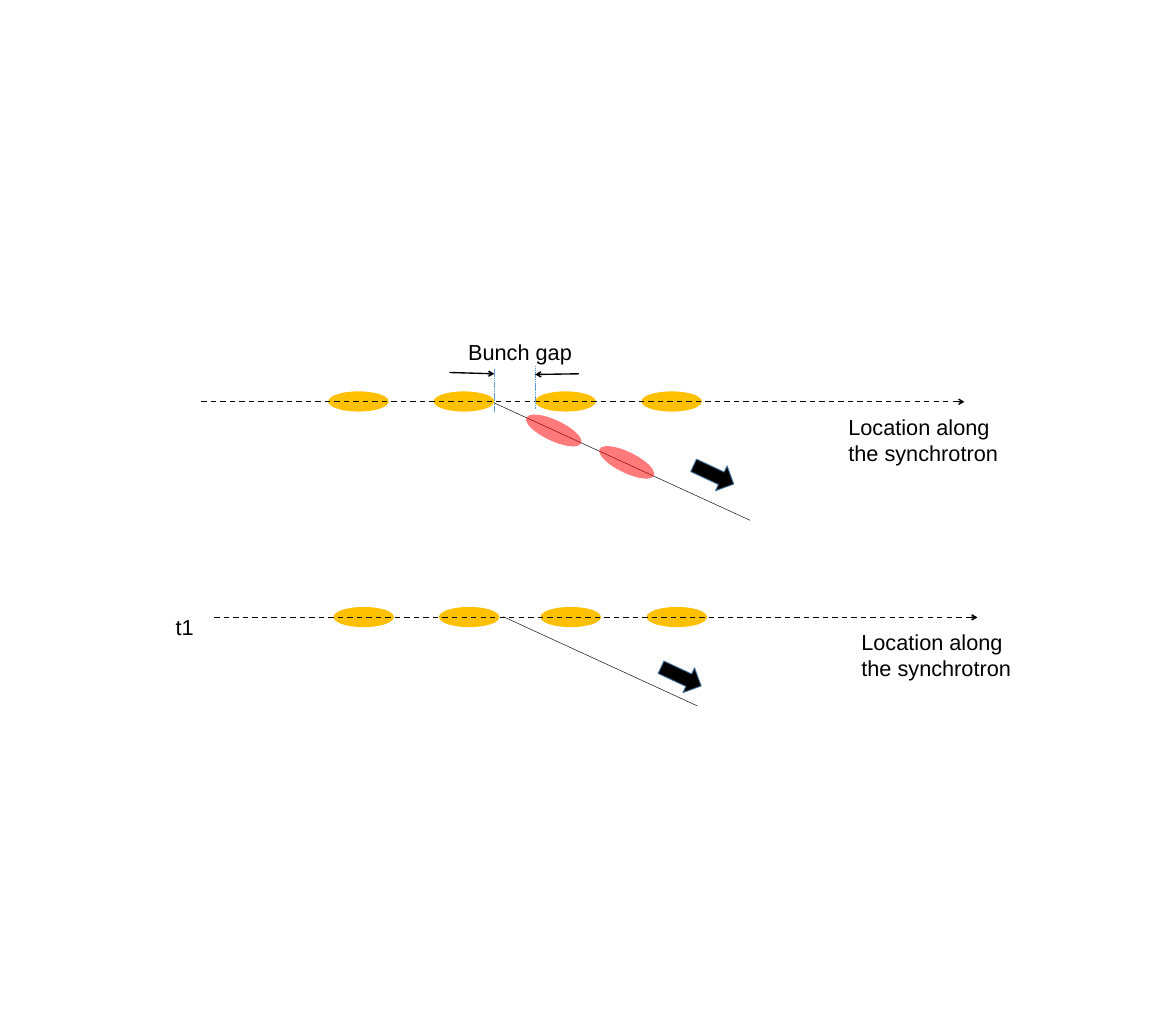
import pptx
import pptx.dml.color
import pptx.enum.dml
import pptx.enum.shapes
import pptx.oxml.ns
import pptx.util
from lxml import etree
from pptx.util import Inches

RGBColor = pptx.dml.color.RGBColor
Shape = pptx.enum.shapes.MSO_SHAPE
Dash = pptx.enum.dml.MSO_LINE
qn = pptx.oxml.ns.qn

BLACK = RGBColor(0x00, 0x00, 0x00)
GOLD = RGBColor(0xFF, 0xC0, 0x00)
RED = RGBColor(0xFF, 0x00, 0x00)
BLUE = RGBColor(0x5B, 0x9B, 0xD5)
ARROW_EDGE = RGBColor(0x43, 0x73, 0x9E)

BUNCH_OFFSETS = (0, 1.62, 3.18, 4.81)
AXIS_LENGTH = 11.72


def add_label(slide, text, left, top, width, height):
    box = slide.shapes.add_textbox(Inches(left), Inches(top), Inches(width), Inches(height))
    box.text_frame.word_wrap = True
    paragraph = box.text_frame.paragraphs[0]
    paragraph.text = text
    font_format = {"name": "Arial", "size": pptx.util.Pt(24)}
    for name, value in font_format.items():
        setattr(paragraph.font, name, value)
    paragraph.font.color.rgb = BLACK


def add_line(slide, start, end, color=BLACK, width=0.5, dash=None, arrow=False):
    connector = slide.shapes.add_connector(
        pptx.enum.shapes.MSO_CONNECTOR.STRAIGHT, *map(Inches, start + end))
    line = connector.line
    line.color.rgb = color
    line.width = pptx.util.Pt(width)
    if dash is not None:
        line.dash_style = dash
    if arrow:
        etree.SubElement(line._get_or_add_ln(), qn("a:tailEnd"), type="arrow")
    etree.SubElement(connector._element.spPr, qn("a:effectLst"))


def add_filled_shape(slide, kind, left, top, width, height, color, rotation=0):
    shape = slide.shapes.add_shape(kind, *map(Inches, (left, top, width, height)))
    shape.shadow.inherit = False
    shape.rotation = rotation
    shape.fill.solid()
    shape.fill.fore_color.rgb = color
    shape.line.fill.background()
    return shape


def add_extracted_bunch(slide, left, top, rotation):
    bunch = add_filled_shape(slide, Shape.OVAL, left, top, 0.93, 0.32, RED, rotation)
    color = bunch._element.spPr.find(qn("a:solidFill"))[0]
    etree.SubElement(color, qn("a:alpha"), val="52000")


def add_direction_arrow(slide, left, top):
    arrow = add_filled_shape(slide, Shape.RIGHT_ARROW, left, top, 0.68, 0.42, BLACK, 25)
    arrow.line.color.rgb = ARROW_EDGE
    arrow.line.width = pptx.util.Pt(1)


def add_synchrotron_axis(slide, left, axis_y, first_bunch):
    """Draw the circulating bunches, the dashed axis through them and its label."""
    for offset in BUNCH_OFFSETS:
        add_filled_shape(slide, Shape.OVAL, first_bunch + offset, axis_y - 0.16, 0.93, 0.31, GOLD)
    add_line(slide, (left, axis_y), (left + AXIS_LENGTH, axis_y),
             width=1.5, dash=Dash.DASH, arrow=True)
    add_label(slide, "Location along the synchrotron", left + 9.84, axis_y + 0.13, 2.53, 0.9)


def add_bunch_gap(slide):
    add_label(slide, "Bunch gap", 7.09, 5.16, 1.9, 0.5)
    for x, top in ((8.22, 5.62), (7.59, 5.66)):
        add_line(slide, (x, top), (x, top + 0.66), color=BLUE, dash=Dash.SQUARE_DOT)
    for start, end in (((6.9, 5.72), (7.59, 5.74)), ((8.89, 5.74), (8.22, 5.75))):
        add_line(slide, start, end, width=1.5, arrow=True)


def main():
    presentation = pptx.Presentation()
    presentation.slide_width = Inches(18.06)
    presentation.slide_height = Inches(15.77)
    slide = presentation.slides.add_slide(presentation.slide_layouts[6])

    add_line(slide, (7.53, 6.16), (11.52, 7.99))
    add_extracted_bunch(slide, 8.04, 6.45, 25)
    add_extracted_bunch(slide, 9.16, 6.94, 26)
    add_direction_arrow(slide, 10.62, 7.08)
    add_synchrotron_axis(slide, 3.09, 6.17, 5.04)
    add_bunch_gap(slide)

    add_line(slide, (7.73, 9.47), (10.71, 10.84))
    add_direction_arrow(slide, 10.12, 10.18)
    add_synchrotron_axis(slide, 3.29, 9.48, 5.12)
    add_label(slide, "t1", 2.6, 9.37, 2.53, 0.5)

    presentation.save("out.pptx")


if __name__ == "__main__":
    main()
